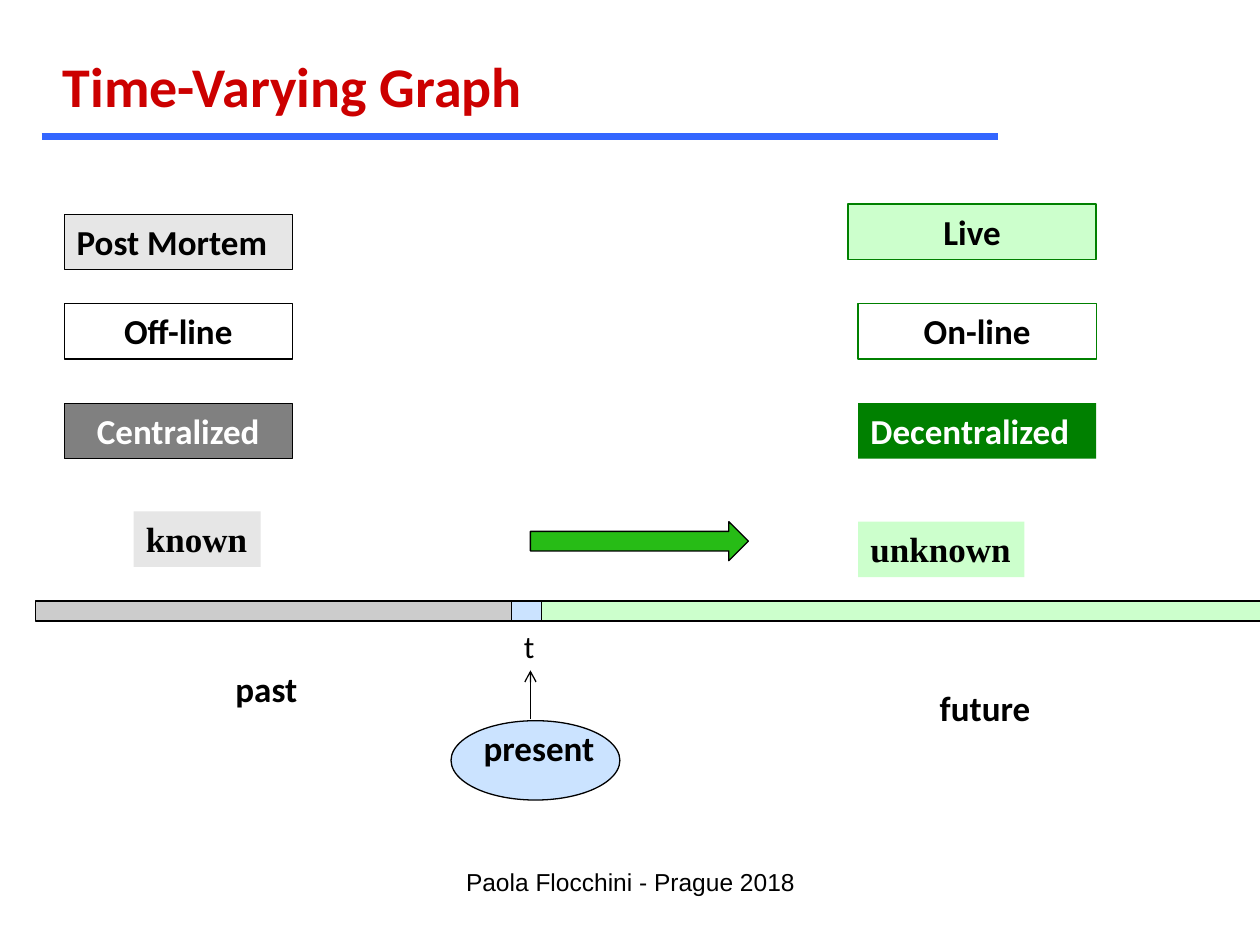
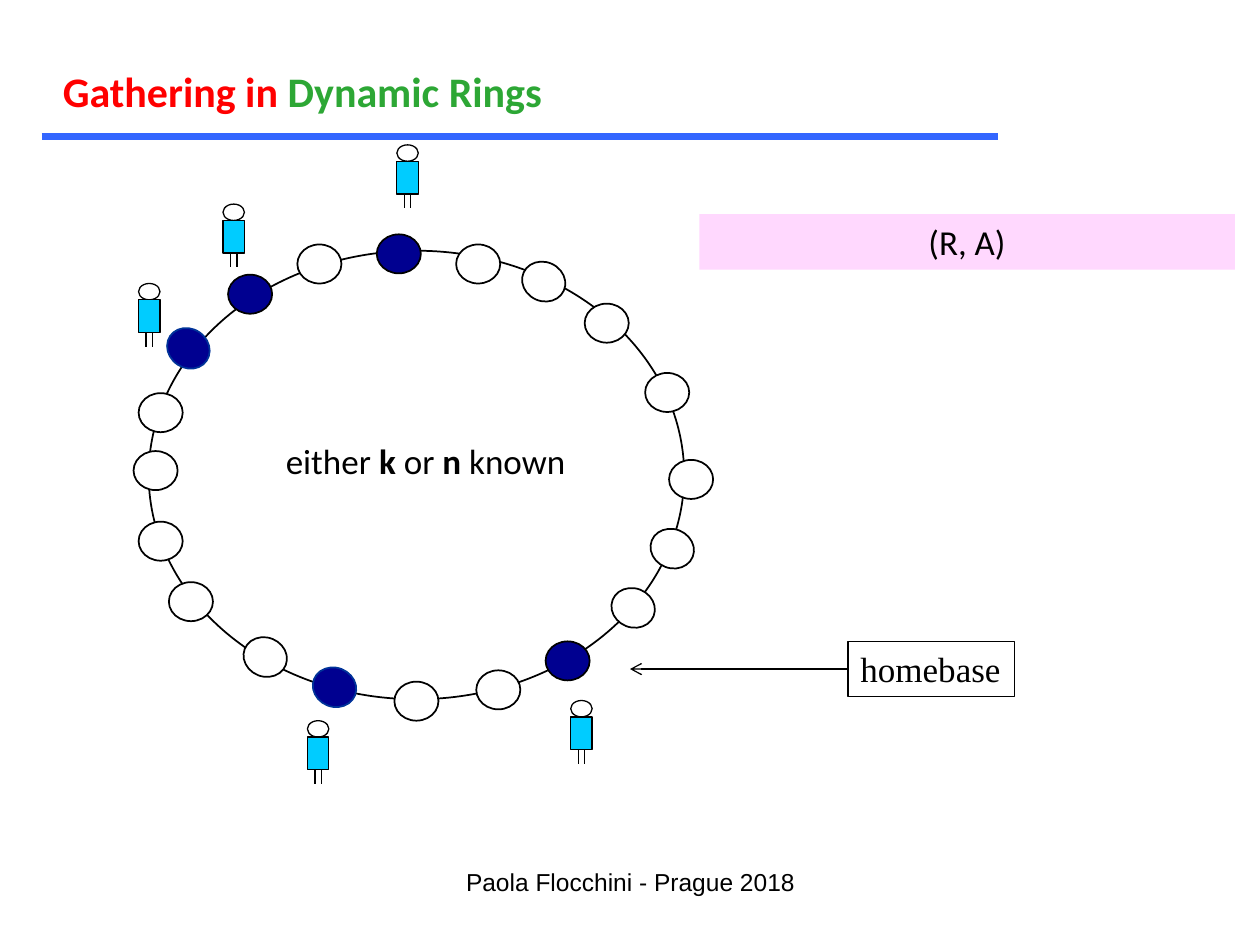
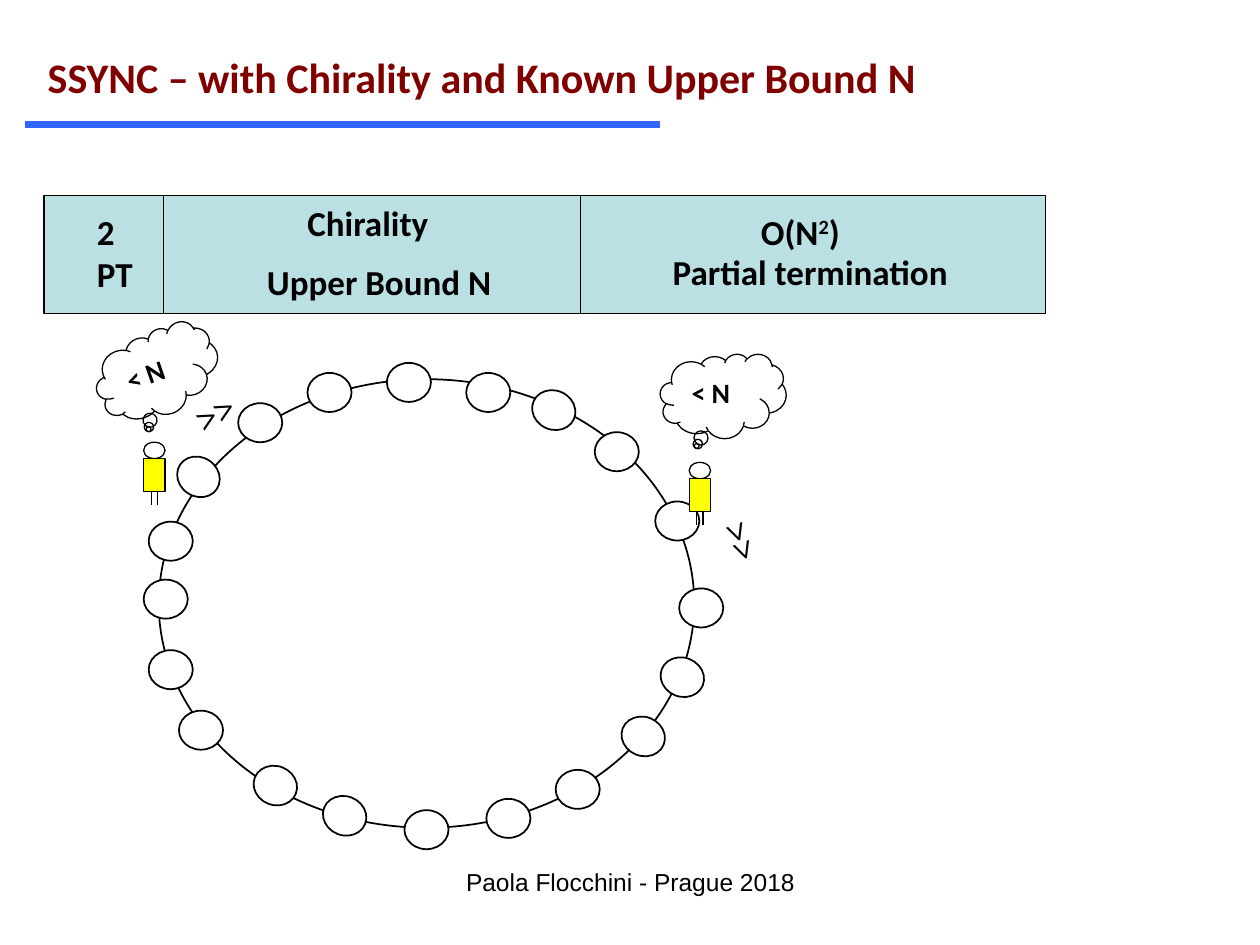
import pptx
import pptx.dml.color
import pptx.enum.shapes
import pptx.enum.text
import pptx.oxml
import pptx.util
from lxml import etree

Inches = pptx.util.Inches
SHAPE = pptx.enum.shapes.MSO_SHAPE
ALIGN = pptx.enum.text.PP_ALIGN

COLORS = {
    "black": "000000", "white": "FFFFFF", "rule": "3366FF",
    "title red": "CC0000", "bright red": "FF0000", "title green": "2DA735", "maroon": "800000",
    "past": "CCCCCC", "pale gray": "E6E6E6", "gray": "808080",
    "present": "CBE3FF", "pale green": "CCFFCC", "green": "008000", "arrow green": "27BC16",
    "pink": "FFD8FE", "homebase": "000090", "homebase edge": "003399",
    "cyan": "00CCFF", "yellow": "FFFF00", "result": "BBE0E3",
}


def rgb(name):
    return pptx.dml.color.RGBColor.from_string(COLORS[name])


def add_box(slide, at, text="", kind=None, fill=None, line=None, width=0.75, turn=0, wrap=False,
            size=20, font="Calibri", color="black", bold=True, align=ALIGN.LEFT):
    """Add a text box, or a shape of the given kind.

    Text is a string with one paragraph per line, or a list of (text, changes) runs.
    """
    place = [Inches(length) for length in at]
    if kind is None:
        box = slide.shapes.add_textbox(*place)
    else:
        box = slide.shapes.add_shape(kind, *place)
        box.shadow.inherit = False
        if fill:
            box.fill.solid()
            box.fill.fore_color.rgb = rgb(fill)
        else:
            box.fill.background()
        if line:
            box.line.color.rgb = rgb(line)
            box.line.width = pptx.util.Pt(width)
        else:
            box.line.fill.background()
    box.rotation = turn
    if not text:
        return box

    frame = box.text_frame
    frame.word_wrap = wrap
    frame.vertical_anchor = pptx.enum.text.MSO_ANCHOR.TOP
    paragraphs = [[(row, {})] for row in text.split("\n")] if isinstance(text, str) else [text]
    for index, runs in enumerate(paragraphs):
        paragraph = frame.add_paragraph() if index else frame.paragraphs[0]
        paragraph.alignment = align
        for words, changes in runs:
            run = paragraph.add_run()
            run.text = words
            run.font.size = pptx.util.Pt(size)
            run.font.name = font
            run.font.bold = changes.get("bold", bold)
            run.font.color.rgb = rgb(changes.get("color", color))
            if changes.get("superscript"):
                run._r.get_or_add_rPr().set("baseline", "30000")
    return box


def add_line(slide, start, end, color="black", width=0.75, arrow=False):
    line = slide.shapes.add_connector(
        pptx.enum.shapes.MSO_CONNECTOR.STRAIGHT, *[Inches(length) for length in (*start, *end)])
    line.line.color.rgb = rgb(color)
    line.line.width = pptx.util.Pt(width)
    etree.SubElement(line._element.spPr, pptx.oxml.ns.qn("a:effectLst"))
    if arrow:
        etree.SubElement(line.line._get_or_add_ln(), pptx.oxml.ns.qn("a:tailEnd"), type="arrow")
    return line


deck = pptx.Presentation()
deck.slide_width, deck.slide_height = Inches(10), Inches(7.5)

# Title, rule and footer of every slide
headings = [
    ("Time-Varying Graph", (0.4, 0.36, 3.94, 0.64), 32, "title red", (0.33, 7.92, 1.08)),
    ([("Gathering in ", {}), ("Dynamic Rings", {"color": "title green"})],
     (0.4, 0.47, 4.05, 0.5), 24, "bright red", (0.33, 7.92, 1.08)),
    ("SSYNC – with Chirality and Known Upper Bound N",
     (0.28, 0.36, 7.18, 0.91), 24, "maroon", (0.2, 5.24, 0.99)),
]
slides = []
for title, place, size, color, (left, right, y) in headings:
    slide = deck.slides.add_slide(deck.slide_layouts[6])
    add_line(slide, (left, y), (right, y), color="rule", width=4)
    add_box(slide, place, title, size=size, color=color)
    add_box(slide, (3.42, 6.83, 3.17, 0.5), "Paola Flocchini - Prague 2018",
            size=14, font="Arial", bold=False, align=ALIGN.CENTER, wrap=True)
    slides.append(slide)
timeline, gathering, chirality = slides

# Slide 1: past, present and future
add_box(timeline, (4.06, 4.93, 0.47, 0.4), "t", kind=SHAPE.RECTANGLE, fill="white",
        size=18, bold=False, wrap=True)
for left, width, fill in [(0.28, 4.65, "past"), (4.29, 6.3, "pale green"), (4.06, 0.24, "present")]:
    add_box(timeline, (left, 4.77, width, 0.16), kind=SHAPE.RECTANGLE, fill=fill, line="black")

settings = [
    ("Post Mortem", 0.51, 1.7, 1.81, "pale gray", "black", "black", ALIGN.LEFT),
    ("Off-line", 0.51, 2.41, 1.81, "white", "black", "black", ALIGN.CENTER),
    ("Centralized", 0.51, 3.2, 1.81, "gray", "black", "white", ALIGN.CENTER),
    ("Live", 6.73, 1.62, 1.97, "pale green", "green", "black", ALIGN.CENTER),
    ("On-line", 6.81, 2.41, 1.89, "white", "green", "black", ALIGN.CENTER),
    ("Decentralized", 6.81, 3.2, 1.89, "green", None, "white", ALIGN.LEFT),
]
for label, left, top, width, fill, edge, color, align in settings:
    add_box(timeline, (left, top, width, 0.44), label, kind=SHAPE.RECTANGLE, fill=fill,
            line=edge, color=color, align=align, wrap=True)

for label, left, top, width, fill in [("known", 1.06, 4.06, 1.01, "pale gray"),
                                      ("unknown", 6.81, 4.14, 1.32, "pale green")]:
    add_box(timeline, (left, top, width, 0.44), label, kind=SHAPE.RECTANGLE, fill=fill,
            font="Times New Roman")
add_box(timeline, (4.21, 4.14, 1.73, 0.31), kind=SHAPE.RIGHT_ARROW, fill="arrow green", line="black")

add_box(timeline, (3.58, 5.72, 1.34, 0.63), kind=SHAPE.OVAL, fill="present", line="black")
for label, left, top, width in [("past", 1.77, 5.25, 0.71), ("present", 3.74, 5.72, 1.1),
                                ("future", 7.36, 5.4, 0.95)]:
    add_box(timeline, (left, top, width, 0.44), label)
add_line(timeline, (4.21, 5.71), (4.21, 5.32), arrow=True)

# Slides 2 and 3: the same ring with different homebases and agents
# Each node, clockwise from the top: left, top, rotation
ring_nodes = [
    (2.99, 1.86, 0), (3.62, 1.94, 0), (4.14, 2.08, 24.4), (4.64, 2.41, 0), (5.12, 2.96, 0),
    (5.31, 3.65, 0), (5.16, 4.2, 21.5), (4.85, 4.67, 21.5), (4.33, 5.09, 0), (3.78, 5.32, 0),
    (3.13, 5.41, 0), (2.48, 5.3, 21.5), (1.93, 5.06, 21.5), (1.34, 4.62, 0), (1.1, 4.14, 0),
    (1.06, 3.58, 0), (1.1, 3.12, 0), (1.32, 2.61, 33.8), (1.81, 2.18, 0), (2.36, 1.94, 0),
]
scenes = [
    (gathering, 0, 0, {0, 8, 11, 17, 18}, "cyan",
     [(3.15, 1.15), (2.44, 5.72), (1.1, 2.25), (4.53, 5.56), (1.77, 1.62)]),
    (chirality, 0.08, 1.02, set(), "yellow", [(1.14, 3.51), (5.47, 3.67)]),
]
for slide, shift_x, shift_y, homebases, body_color, agents in scenes:
    add_box(slide, (1.18 + shift_x, 1.99 + shift_y, 4.25, 3.56), kind=SHAPE.OVAL,
            line="black", width=1)
    for index, (x, y, turn) in enumerate(ring_nodes):
        is_home = index in homebases
        add_box(slide, (x + shift_x, y + shift_y, 0.35, 0.31), kind=SHAPE.OVAL, turn=turn, width=1,
                fill="homebase" if is_home else "white",
                line="homebase edge" if is_home and turn else "black")
    for x, y in agents:
        add_box(slide, (x, y, 0.17, 0.13), kind=SHAPE.OVAL, fill="white", line="black")
        add_box(slide, (x, y + 0.13, 0.17, 0.26), kind=SHAPE.RECTANGLE, fill=body_color, line="black")
        for leg in (x + 0.06, x + 0.11):
            add_line(slide, (leg, y + 0.39), (leg, y + 0.5))

# Slide 2: labels
add_box(gathering, (5.55, 1.7, 4.25, 0.44), "(R, A)", kind=SHAPE.RECTANGLE, fill="pink",
        bold=False, align=ALIGN.CENTER, wrap=True)
known = [("either ", {}), ("k ", {"bold": True}), ("or ", {}), ("n ", {"bold": True}), ("known", {})]
add_box(gathering, (2.17, 3.44, 2.43, 0.44), known, bold=False)
homebase = add_box(gathering, (6.73, 5.09, 1.32, 0.44), "homebase", kind=SHAPE.RECTANGLE,
                   line="black", font="Times New Roman", bold=False)
pointer = add_line(gathering, (6.73, 5.31), (5, 5.31), arrow=True)
pointer.begin_connect(homebase, 1)

# Slide 3: result strip
add_box(chirality, (0.35, 1.55, 7.95, 0.94), kind=SHAPE.RECTANGLE, fill="result", line="black")
for divider in (1.3, 4.61):
    add_line(chirality, (divider, 1.55), (divider, 2.49))
results = [
    ("2\nPT", (0.67, 1.62, 0.51, 0.77), ALIGN.LEFT),
    ("Chirality", (2.33, 1.55, 1.18, 0.44), ALIGN.CENTER),
    ("Upper Bound N", (2.01, 2.02, 2, 0.44), ALIGN.CENTER),
    ([("O(N", {}), ("2", {"superscript": True}), (")", {})], (5.94, 1.62, 0.85, 0.44), ALIGN.LEFT),
    ("Partial termination", (5.24, 1.94, 2.41, 0.44), ALIGN.LEFT),
]
for result, place, align in results:
    add_box(chirality, place, result, align=align)

# Slide 3: what each agent thinks and where it moves
thoughts = [
    ((0.75, 2.63), (0.9, 2.78), 341, (1.45, 3.06), 330.7),
    ((5.24, 2.81), (5.39, 2.93), 0, (5.63, 4.08), 70.6),
]
for cloud_at, bound_at, tilt, move_at, heading in thoughts:
    cloud = add_box(chirality, (*cloud_at, 1, 0.67), kind=SHAPE.CLOUD_CALLOUT, line="black", turn=tilt)
    cloud.adjustments[0], cloud.adjustments[1] = -0.21, 0.59
    add_box(chirality, (*bound_at, 0.56, 0.37), "< N", size=16, turn=tilt)
    add_box(chirality, (*move_at, 0.52, 0.44), ">>", font="Times New Roman", turn=heading)

deck.save("out.pptx")
